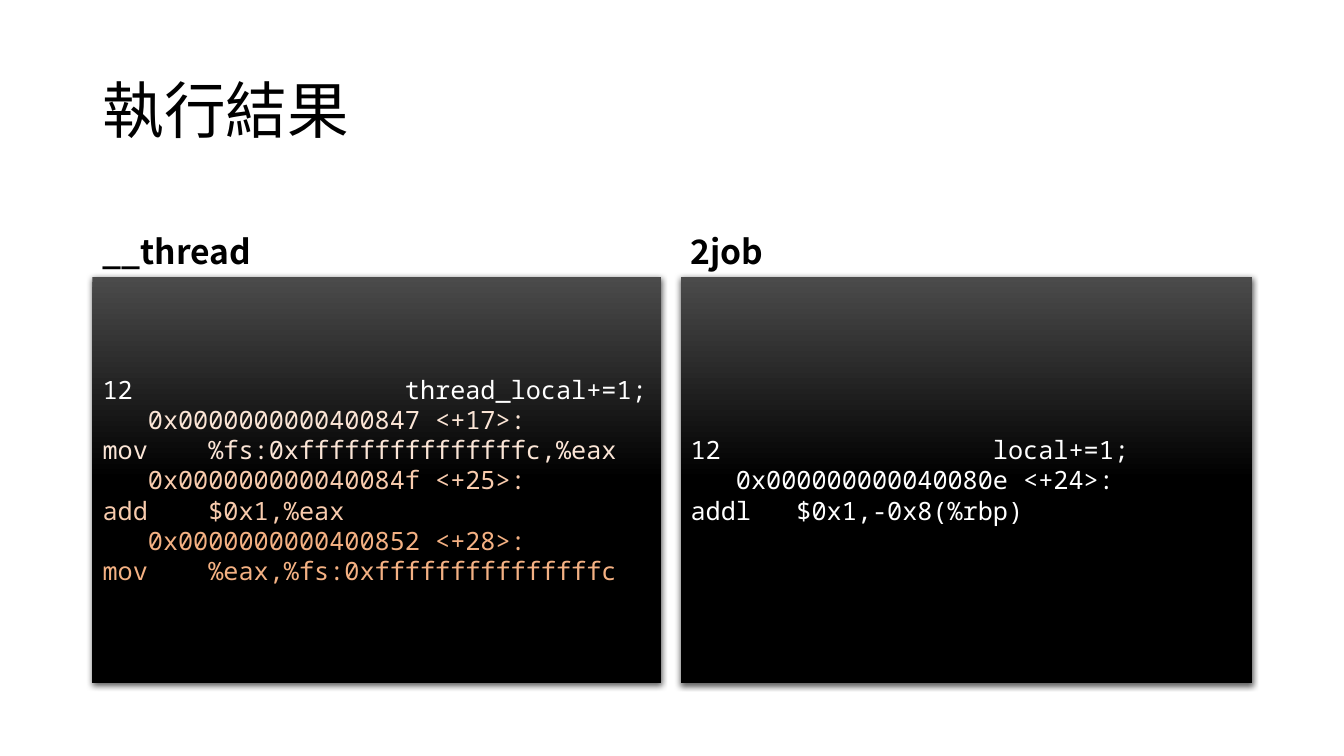
from lxml import etree
from pptx import Presentation
from pptx import util as u
from pptx.dml import color
from pptx.enum import text
from pptx.oxml import ns

SANS = "Noto Sans CJK TC"
MONO = "Noto Sans Mono"
TOP, MID, HEAD, BODY = 4.68, 6.97, 2.29, 10.24
PANELS = [
    (2.33, 14.33, "__thread", [
        ("12\t\t\tthread_local+=1;", "FFFFFF"),
        ("   0x0000000000400847 <+17>:\tmov    %fs:0xfffffffffffffffc,%eax", "FBE5D6"),
        ("   0x000000000040084f <+25>:\tadd    $0x1,%eax", "F8CBAD"),
        ("   0x0000000000400852 <+28>:\tmov    %eax,%fs:0xfffffffffffffffc", "F4B183"),
    ]),
    (17.15, 14.4, "2job", [
        ("12\t\t\tlocal+=1;", "FFFFFF"),
        ("   0x000000000040080e <+24>:\taddl   $0x1,-0x8(%rbp)", "FFFFFF"),
    ]),
]


def rgb(code):
    return color.RGBColor.from_string(code)


def place(shape, left, top, width, height, anchor):
    shape.left, shape.top = u.Cm(left), u.Cm(top)
    shape.width, shape.height = u.Cm(width), u.Cm(height)
    frame = shape.text_frame
    frame.word_wrap = True
    frame.auto_size = text.MSO_AUTO_SIZE.NONE
    frame.vertical_anchor = anchor


def style(para, face, size, tint, bold=False, lines=1.0):
    props = para._p.get_or_add_pPr()
    for key, value in (("marL", 0), ("indent", 0), ("defTabSz", u.Inches(1))):
        props.set(key, str(value))
    etree.SubElement(props, ns.qn("a:buNone"))
    para.alignment = text.PP_ALIGN.LEFT
    para.line_spacing = lines
    para.space_before = u.Pt(0)
    for run in para.runs:
        font = run.font
        font.name, font.size, font.bold = face, u.Pt(size), bold
        font.color.rgb = rgb(tint)
        east = etree.SubElement(run._r.get_or_add_rPr(), ns.qn("a:ea"))
        east.set("typeface", face)


def label(shape, words, box, anchor, size, bold=False):
    place(shape, *box, anchor)
    shape.text_frame.text = words
    style(shape.text_frame.paragraphs[0], SANS, size, "000000", bold, 0.9)


def shade(shape):
    shape.fill.gradient()
    shape.fill.gradient_angle = 270
    stops = shape.fill.gradient_stops
    for stop, spot, tint in zip(stops, (0, 0.5), ("4B4B4B", "000000")):
        stop.position = spot
        stop.color.rgb = rgb(tint)
    shape.line.fill.background()
    shape.shadow.inherit = False
    effects = shape.element.spPr.find(ns.qn("a:effectLst"))
    glow = etree.SubElement(effects, ns.qn("a:outerShdw"), blurRad=str(u.Pt(4.5)),
                            dist=str(u.Pt(1.5)), dir="5400000", rotWithShape="0")
    tone = etree.SubElement(glow, ns.qn("a:srgbClr"), val="000000")
    etree.SubElement(tone, ns.qn("a:alpha"), val="63000")


def code(shape, rows, box):
    place(shape, *box, text.MSO_ANCHOR.MIDDLE)
    shade(shape)
    frame = shape.text_frame
    frame.text = "\n".join(words for words, tint in rows)
    for para, (words, tint) in zip(frame.paragraphs, rows):
        style(para, MONO, 18, tint)


def main():
    deck = Presentation()
    deck.slide_width, deck.slide_height = u.Cm(33.87), u.Cm(19.05)
    slide = deck.slides.add_slide(deck.slide_layouts[4])
    title, *slots = slide.placeholders
    label(title, "執行結果", (2.33, 1.01, 29.21, 3.68), text.MSO_ANCHOR.MIDDLE, 44)
    for head, body, (left, width, name, rows) in zip(slots[::2], slots[1::2], PANELS):
        label(head, name, (left, TOP, width, HEAD), text.MSO_ANCHOR.BOTTOM, 24, True)
        code(body, rows, (left, MID, width, BODY))
    deck.save("out.pptx")


if __name__ == "__main__":
    main()
